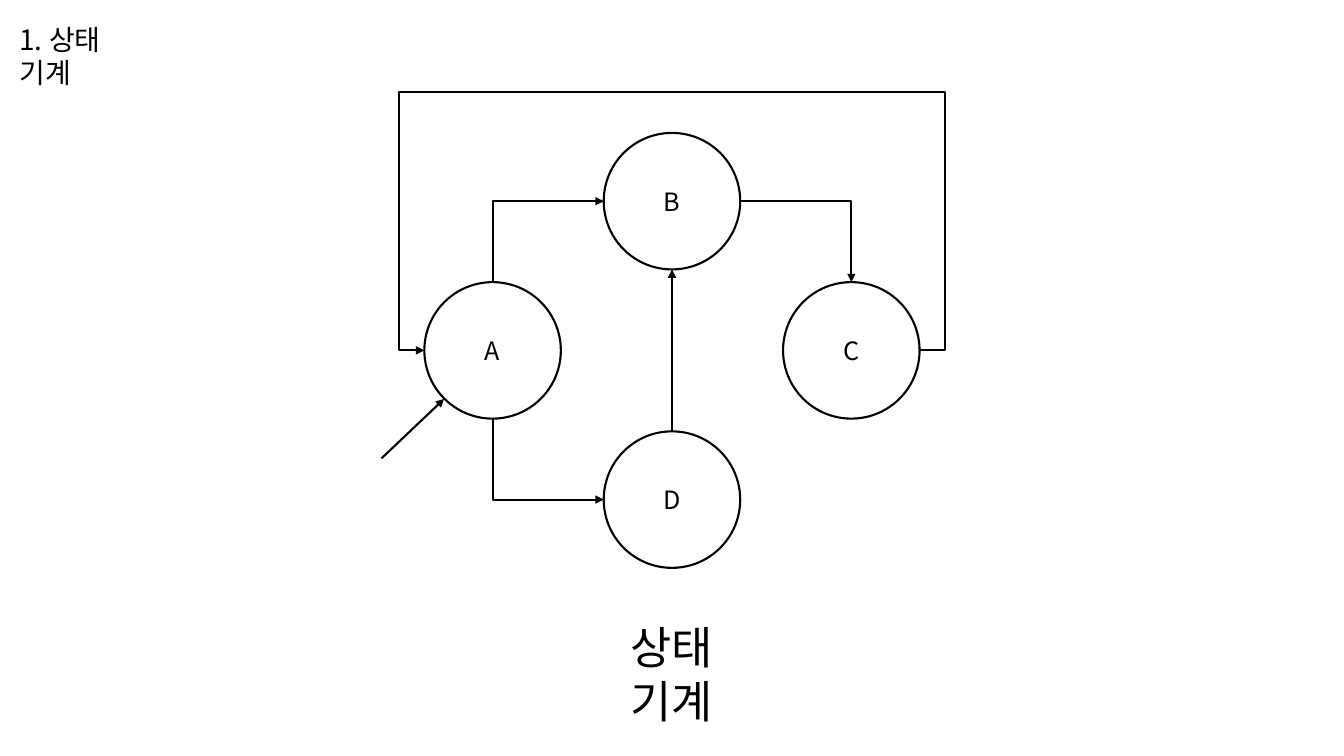
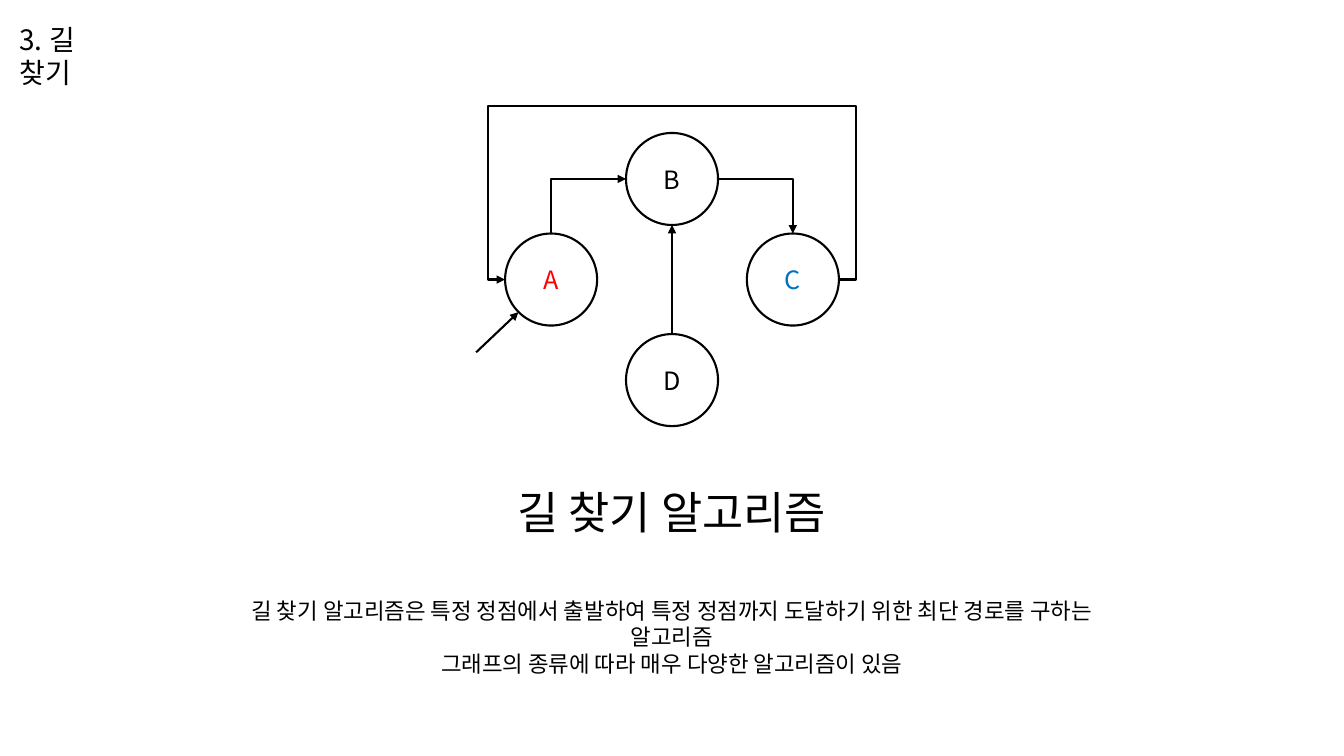
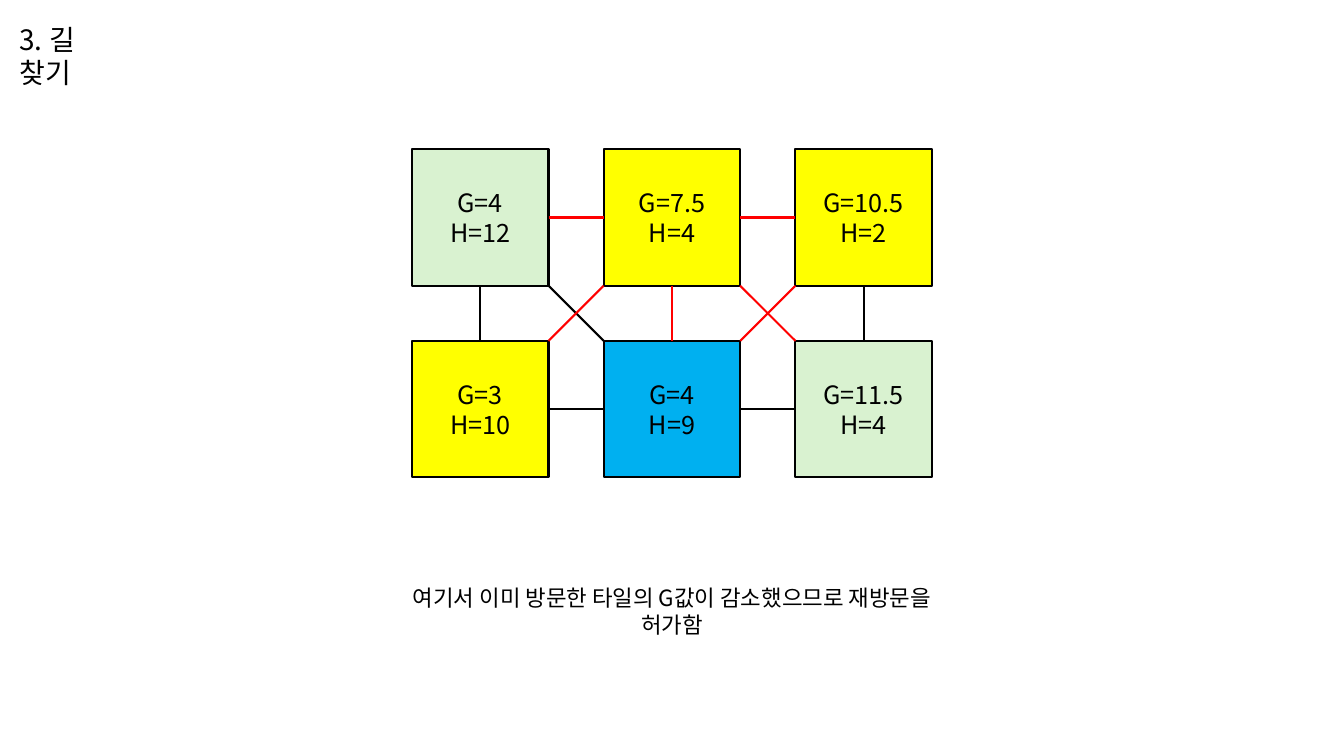
from pptx import Presentation
from pptx.dml.color import RGBColor
from pptx.enum.shapes import MSO_CONNECTOR as LINE, MSO_SHAPE as SHAPE
from pptx.enum.text import MSO_ANCHOR as ANCHOR, PP_ALIGN as ALIGN
from pptx.oxml.ns import qn
from pptx.util import Cm, Pt
from lxml.etree import SubElement

FONT = "Noto Sans CJK KR"
COLORS = {"black": "000000", "white": "FFFFFF", "red": "FF0000", "blue": "0070C0",
          "yellow": "FFFF00", "sky": "00B0F0", "green": "D9F2D0"}
WIDTH, HEIGHT = 33.87, 19.05
MIDDLE = WIDTH / 2

# Content: captions are (text, top, width, size)
NODES = {"A": (-1, 1), "C": (1, 1), "B": (0, 0), "D": (0, 2)}  # column, row
GRAPHS = [
    {"title": "1. 상태 기계", "scale": 1, "tints": {}, "branch": True,
     "captions": [("상태 기계", 15.5, 4.4, 32)]},
    {"title": "3. 길 찾기", "scale": 0.674, "tints": {"A": "red", "C": "blue"}, "branch": False,
     "captions": [
         ("길 찾기 알고리즘은 특정 정점에서 출발하여 특정 정점까지 도달하기 위한 "
          "최단 경로를 구하는 알고리즘\n그래프의 종류에 따라 매우 다양한 알고리즘이 있음",
          14.91, 23.6, 16),
         ("길 찾기 알고리즘", 12.09, 9.6, 32)]},
]
TILE_TITLE = "3. 길 찾기"
TILE_CAPTION = ("여기서 이미 방문한 타일의 G값이 감소했으므로 재방문을 허가함", 14.6, 15, 16)
TILES = [[("G=4\nH=12", "green"), ("G=7.5\nH=4", "yellow"), ("G=10.5\nH=2", "yellow")],
         [("G=3\nH=10", "yellow"), ("G=4\nH=9", "sky"), ("G=11.5\nH=4", "green")]]
LINKS = [((0, 0), (1, 1), "black"), ((0, 1), (1, 0), "red"), ((1, 1), (2, 0), "red"),
         ((1, 0), (2, 1), "red"), ((1, 0), (2, 0), "red"), ((1, 1), (2, 1), "black"),
         ((1, 0), (1, 1), "red"), ((0, 0), (1, 0), "red"), ((0, 0), (0, 1), "black"),
         ((0, 1), (1, 1), "black"), ((2, 0), (2, 1), "black")]  # (column, row) pairs

# Sizes in cm
SIDE = 3.44
NODE_DX, NODE_DY, NODE_TOP = 4.52, 3.76, 3.35
LOOP_SIDE, LOOP_RISE = 0.64, 6.5
ENTRY = (-1.58, 1.5)
TILE_PITCH, TILE_Y = 4.83, 5.48


def rgb(name):
    return RGBColor.from_string(COLORS[name])


def write(tf, text, size=18, color="black", align=ALIGN.CENTER):
    for i, line in enumerate(text.split("\n")):
        p = tf.paragraphs[0] if i == 0 else tf.add_paragraph()
        p.alignment = align
        r = p.add_run()
        r.text = line
        r.font.name, r.font.size = FONT, Pt(size)
        r.font.color.rgb = rgb(color)
        SubElement(r.font._element, qn("a:ea")).set("typeface", FONT)


def add_text(slide, text, left, top, width, **fmt):
    tf = slide.shapes.add_textbox(Cm(left), Cm(top), Cm(width), Cm(1)).text_frame
    tf.word_wrap = True
    write(tf, text, **fmt)


def add_caption(slide, text, top, width, size):
    add_text(slide, text, MIDDLE - width / 2, top, width, size=size)


def add_page(prs, title):
    slide = prs.slides.add_slide(prs.slide_layouts[6])
    add_text(slide, title, 0.24, 0.43, 3.3, size=20, align=ALIGN.LEFT)
    return slide


def stroke(sp, color="black", arrow=False):
    sp.line.color.rgb = rgb(color)
    sp.line.width = Pt(1.5)
    if arrow:
        SubElement(sp.element.spPr.find(qn("a:ln")), qn("a:tailEnd")).set("type", "triangle")


def add_box(slide, kind, center, side, text, fill="white", color="black"):
    x, y = center
    sp = slide.shapes.add_shape(kind, Cm(x - side / 2), Cm(y - side / 2), Cm(side), Cm(side))
    sp.shadow.inherit = False
    sp.fill.solid()
    sp.fill.fore_color.rgb = rgb(fill)
    stroke(sp)
    sp.text_frame.vertical_anchor = ANCHOR.MIDDLE
    write(sp.text_frame, text, color=color)
    return sp


def add_line(slide, start, end, color="black", arrow=False):
    sp = slide.shapes.add_connector(LINE.STRAIGHT, *(Cm(v) for v in (*start, *end)))
    stroke(sp, color, arrow)
    SubElement(sp.element.spPr, qn("a:effectLst"))
    return sp


def add_bent_arrow(slide, *points):
    start, *rest = [(Cm(x), Cm(y)) for x, y in points]
    outline = slide.shapes.build_freeform(*start)
    outline.add_line_segments(rest, close=False)
    sp = outline.convert_to_shape()
    sp.shadow.inherit = False
    sp.fill.background()
    stroke(sp, arrow=True)


def add_graph(slide, scale, tints, branch):
    side = SIDE * scale
    at = {name: (MIDDLE + col * NODE_DX * scale, NODE_TOP + side / 2 + row * NODE_DY * scale)
          for name, (col, row) in NODES.items()}
    for name, center in at.items():
        add_box(slide, SHAPE.OVAL, center, side, name, color=tints.get(name, "black"))

    def rim(name, dx, dy):
        x, y = at[name]
        return x + dx * side / 2, y + dy * side / 2

    # Elbows between neighbouring states
    a_x, c_x = at["A"][0], at["C"][0]
    b_y, d_y = at["B"][1], at["D"][1]
    add_bent_arrow(slide, rim("A", 0, -1), (a_x, b_y), rim("B", -1, 0))
    add_bent_arrow(slide, rim("B", 1, 0), (c_x, b_y), rim("C", 0, -1))
    if branch:
        add_bent_arrow(slide, rim("A", 0, 1), (a_x, d_y), rim("D", -1, 0))

    # Loop from C over the top back to A
    (right, y), (left, _) = rim("C", 1, 0), rim("A", -1, 0)
    gap, top = LOOP_SIDE * scale, y - LOOP_RISE * scale
    add_bent_arrow(slide, (right, y), (right + gap, y), (right + gap, top),
                   (left - gap, top), (left - gap, y), (left, y))

    # Straight arrows: D to B, and the entry into A
    add_line(slide, rim("D", 0, -1), rim("B", 0, 1), arrow=True)
    x, y = rim("A", -0.71, 0.71)
    add_line(slide, (x + ENTRY[0] * scale, y + ENTRY[1] * scale), (x, y), arrow=True)


def add_tiles(slide):
    centers, boxes = {}, {}
    for row, tiles in enumerate(TILES):
        for col, (text, fill) in enumerate(tiles):
            key = col, row
            centers[key] = MIDDLE + (col - 1) * TILE_PITCH, TILE_Y + row * TILE_PITCH
            boxes[key] = add_box(slide, SHAPE.RECTANGLE, centers[key], SIDE, text, fill)
    # Links leave a tile at the side or corner that faces the other tile
    for a, b, color in LINKS:
        dx, dy = b[0] - a[0], b[1] - a[1]
        (ax, ay), (bx, by) = centers[a], centers[b]
        half = SIDE / 2
        sp = add_line(slide, (ax + dx * half, ay + dy * half),
                      (bx - dx * half, by - dy * half), color)
        if not (dx and dy):
            start, end = (3, 1) if dx else (2, 0)
            sp.begin_connect(boxes[a], start)
            sp.end_connect(boxes[b], end)


def main():
    prs = Presentation()
    prs.slide_width, prs.slide_height = Cm(WIDTH), Cm(HEIGHT)
    for graph in GRAPHS:
        slide = add_page(prs, graph["title"])
        add_graph(slide, graph["scale"], graph["tints"], graph["branch"])
        for caption in graph["captions"]:
            add_caption(slide, *caption)
    slide = add_page(prs, TILE_TITLE)
    add_caption(slide, *TILE_CAPTION)
    add_tiles(slide)
    prs.save("out.pptx")


if __name__ == "__main__":
    main()
